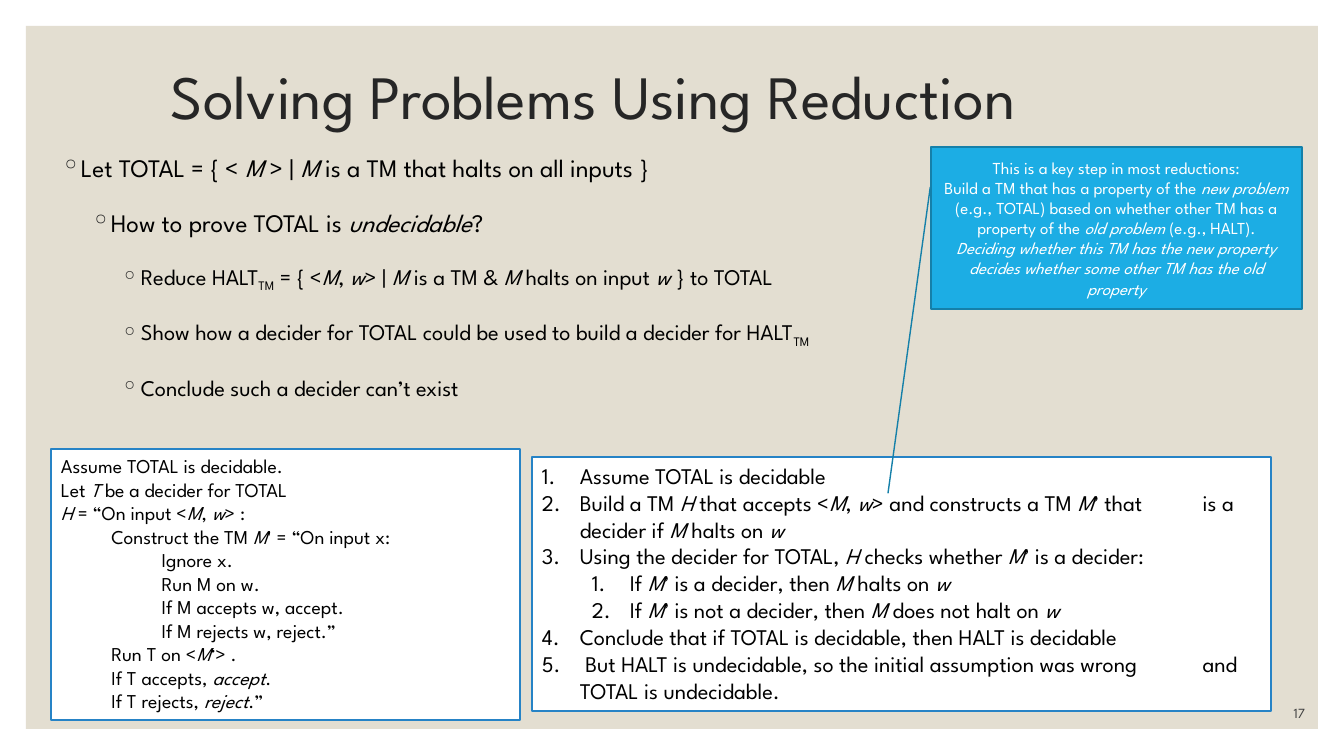
from pptx import Presentation
from pptx.dml.color import RGBColor
from pptx.enum.shapes import MSO_SHAPE as SHAPE
from pptx.enum.text import MSO_ANCHOR as ANCHOR, PP_ALIGN as ALIGN
from pptx.oxml.xmlchemy import OxmlElement
from pptx.util import Emu, Pt

PX = 914400 / 100.8
FONT = "League Spartan"
BLACK = RGBColor(0x00, 0x00, 0x00)
WHITE = RGBColor(0xFF, 0xFF, 0xFF)
SAND = RGBColor(0xE3, 0xDE, 0xD1)
INK = RGBColor(0x26, 0x26, 0x26)
GREY = RGBColor(0x40, 0x40, 0x40)
BLUE = RGBColor(0x26, 0x83, 0xC6)
SKY = RGBColor(0x1C, 0xAD, 0xE4)
TEAL = RGBColor(0x15, 0x80, 0xA9)

# In all texts *...* is italic and _..._ is subscript.
TITLE = ["Solving Problems Using Reduction"]
PAGE = ["17"]

# (level, text)
GOALS = [
    (0, "Let TOTAL = { < *M *> | *M* is a TM that halts on all inputs }"),
    (1, "How to prove TOTAL is *undecidable*?"),
    (2, "Reduce HALT_TM_ = { <*M*, *w*> | *M* is a TM & *M* halts on input *w* } to TOTAL"),
    (2, "Show how a decider for TOTAL could be used to build a decider for HALT_TM_"),
    (2, "Conclude such a decider can’t exist"),
]
STEPS = [
    (0, "Assume TOTAL is decidable"),
    (0, "Build a TM *H* that accepts <*M*, *w*> and constructs a TM *M*’ that "
        "\t is a decider if *M* halts on *w*"),
    (0, "Using the decider for TOTAL, *H* checks whether *M*’ is a decider:"),
    (1, "If *M*’ is a decider, then *M* halts on *w*"),
    (1, "If *M*’ is not a decider, then *M* does not halt on *w*"),
    (0, "Conclude that if TOTAL is decidable, then HALT is decidable"),
    (0, " But HALT is undecidable, so the initial assumption was wrong "
        "\t\t and TOTAL is undecidable."),
]
KEY_STEP = [
    "This is a key step in most reductions:",
    "Build a TM that has a property of the *new problem *(e.g., TOTAL) based on "
    "whether other TM has a property of the *old problem *(e.g., HALT).",
    "*Deciding whether this TM has the new property decides whether some other "
    "TM has the old property*",
]
MACHINE = [
    "Assume TOTAL is decidable.",
    "Let *T *be a decider for TOTAL",
    "*H *= “On input <*M*, *w*> :",
    "\tConstruct the TM *M*' = “On input x:",
    "\t\tIgnore x.",
    "\t\tRun M on w.",
    "\t\tIf M accepts w, accept.",
    "\t\tIf M rejects w, reject.”",
    "\tRun T on <*M*‘> .",
    "\tIf T accepts, *accept*.",
    "\tIf T rejects, *reject*.”",
]
POINTER = (0.247, -0.002, 2.138, -0.116)  # y, x of start; y, x of end


def px(n):
    """Turn pixels into EMU."""
    return Emu(round(n * PX))


def add_marker(p, tag, **attrs):
    """Append a bullet element to the paragraph properties."""
    el = OxmlElement(tag)
    for name, value in attrs.items():
        el.set(name, value)
    p._p.get_or_add_pPr().append(el)
    return el


def add_runs(p, text, size, color):
    """Add marked-up text as formatted runs."""
    for i, part in enumerate(text.split("*")):
        for j, piece in enumerate(part.split("_")):
            if not piece:
                continue
            r = p.add_run()
            r.text = piece
            f = r.font
            f.name, f.size, f.italic = FONT, Pt(size), i % 2 == 1
            f.color.rgb = color
            if j % 2:
                r._r.get_or_add_rPr().set("baseline", "-25000")


def write(s, items, size, color=BLACK, align=ALIGN.LEFT, anchor=ANCHOR.TOP,
          spacing=None, style=None):
    """Fill a shape with text lines or (level, text) items."""
    tf = s.text_frame
    tf.word_wrap, tf.vertical_anchor = True, anchor
    for n, item in enumerate(items):
        level, text = item if isinstance(item, tuple) else (0, item)
        p = tf.paragraphs[0] if n == 0 else tf.add_paragraph()
        p.alignment = align
        if spacing:
            p.line_spacing = spacing
        if style:
            style(p, level)
        add_runs(p, text, size(level) if callable(size) else size, color)


def set_indent(p, level, left, hang):
    """Set the level and the hanging indent, in pixels."""
    p.level = level
    pPr = p._p.get_or_add_pPr()
    pPr.set("marL", str(px(left)))
    pPr.set("indent", str(-px(hang)))


def ring_bullet(p, level):
    """Format a goal with a ring bullet."""
    set_indent(p, level, 20 + 30 * level, 20)
    p.space_before = Pt(18 if level else 9)
    color = add_marker(p, "a:buClr")
    rgb = OxmlElement("a:srgbClr")
    rgb.set("val", str(INK))
    color.append(rgb)
    add_marker(p, "a:buChar", char="◦")


def numbered(p, level):
    """Format a step with an automatic number."""
    set_indent(p, level, 38 + 50 * level, 38)
    add_marker(p, "a:buFont", typeface="+mj-lt")
    add_marker(p, "a:buAutoNum", type="arabicPeriod")


def add_box(x, y, w, h, fill, line=None, kind=SHAPE.RECTANGLE):
    """Add a filled preset shape with an optional outline."""
    s = slide.shapes.add_shape(kind, px(x), px(y), px(w), px(h))
    s.shadow.inherit = False
    s.fill.solid()
    s.fill.fore_color.rgb = fill
    if line is None:
        s.line.fill.background()
    else:
        s.line.color.rgb, s.line.width = line, Pt(1)
    return s


def add_text(x, y, w, h, items, size, **fmt):
    """Add a text box with its text."""
    write(slide.shapes.add_textbox(px(x), px(y), px(w), px(h)), items, size, **fmt)


prs = Presentation()
prs.slide_width, prs.slide_height = px(1344), px(756)
slide = prs.slides.add_slide(prs.slide_layouts[6])

add_box(26, 26, 1292, 703, SAND)
add_text(161, 46, 1022, 107, TITLE, 44, color=INK, anchor=ANCHOR.MIDDLE, spacing=0.9)
add_text(51, 147, 1109, 271, GOALS, lambda level: 16 if level == 2 else 18,
         style=ring_bullet)
write(add_box(532, 457, 739, 254, WHITE, BLUE), STEPS, 16, style=numbered)

callout = add_box(931, 147, 371, 162, SKY, TEAL, SHAPE.LINE_CALLOUT_1)
for n, value in enumerate(POINTER):
    callout.adjustments[n] = value
write(callout, KEY_STEP, 12, color=WHITE, align=ALIGN.CENTER, anchor=ANCHOR.MIDDLE)

write(add_box(51, 449, 469, 271, WHITE, BLUE), MACHINE, 14)
add_text(1154, 696, 161, 30, PAGE, 10, color=GREY, align=ALIGN.RIGHT,
         anchor=ANCHOR.BOTTOM)

prs.save("out.pptx")
